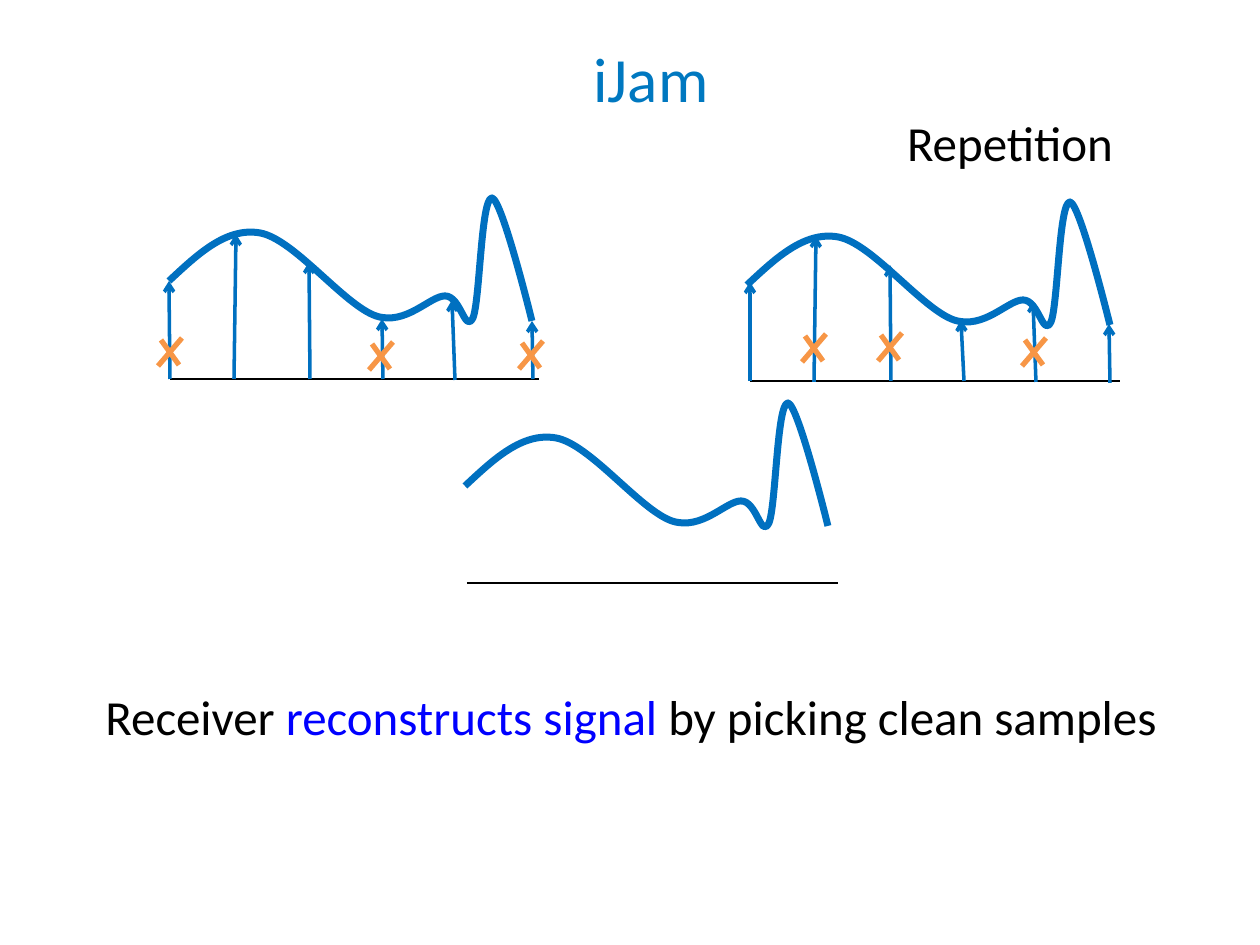
"""Build the iJam slide: two jammed copies of a signal and its reconstruction."""
from dataclasses import dataclass

import lxml.etree
import pptx
import pptx.dml.color
import pptx.enum.shapes
import pptx.enum.text
import pptx.oxml.ns
import pptx.util

EMU_PER_PX = 914400 / 126
FONT = "Calibri"
SIGNAL_BLUE = pptx.dml.color.RGBColor(0x00, 0x70, 0xC0)
TITLE_BLUE = pptx.dml.color.RGBColor(0x00, 0x78, 0xC0)
EMPHASIS_BLUE = pptx.dml.color.RGBColor(0x00, 0x00, 0xFF)
JAM_ORANGE = pptx.dml.color.RGBColor(0xF7, 0x96, 0x46)
BLACK = pptx.dml.color.RGBColor(0x00, 0x00, 0x00)

Point = tuple[int, int]
Stroke = tuple[int, int, int, int]

# fmt: off
WAVE: list[Point] = [
    (28, -26), (57, -54), (91, -48),
    (125, -42), (175, 24), (207, 35),
    (237, 45), (261, 15), (276, 15),
    (292, 15), (296, 53), (304, 37),
    (311, 20), (312, -83), (323, -83),
    (333, -82), (363, 40), (363, 40),
]
# fmt: on
CROSS: list[Stroke] = [(-9, -12, 9, 13), (-12, 14, 12, -14)]


@dataclass
class Plot:
    """A wave with its time axis, sample arrows and jammed samples."""

    wave_start: Point
    axis: Stroke
    samples: list[Stroke]
    jammed: list[Point]


PLOTS = [
    Plot(
        (169, 281),
        (170, 379, 539, 379),
        [
            (169, 281, 170, 379),
            (236, 234, 234, 379),
            (309, 262, 310, 379),
            (382, 319, 383, 379),
            (452, 300, 455, 380),
            (532, 321, 533, 379),
        ],
        [(170, 352), (381, 356), (531, 355)],
    ),
    Plot(
        (747, 285),
        (750, 381, 1120, 381),
        [
            (750, 282, 750, 381),
            (816, 236, 814, 382),
            (890, 265, 891, 381),
            (961, 320, 964, 381),
            (1033, 301, 1036, 382),
            (1109, 324, 1110, 383),
        ],
        [(814, 348), (890, 347), (1034, 352)],
    ),
    Plot((465, 486), (467, 583, 838, 583), [], []),
]


def px(length: int) -> pptx.util.Emu:
    """Turn pixels into EMU."""
    return pptx.util.Emu(round(length * EMU_PER_PX))


def add_tag(parent, tag: str, **attributes: str):
    """Append a DrawingML element."""
    return lxml.etree.SubElement(parent, pptx.oxml.ns.qn(tag), **attributes)


def draw_line(shapes, stroke: Stroke, color, width: float, arrow: bool = False) -> None:
    """Draw a straight line, with an arrowhead at its start if asked."""
    line = shapes.add_connector(
        pptx.enum.shapes.MSO_CONNECTOR.STRAIGHT, *(px(value) for value in stroke)
    )
    line.line.color.rgb = color
    line.line.width = pptx.util.Pt(width)
    if arrow:
        add_tag(line.line._get_or_add_ln(), "a:headEnd", type="arrow")
    add_tag(line._element.spPr, "a:effectLst")


def draw_wave(shapes, start: Point) -> None:
    """Draw the wave as a chain of cubic curves."""
    left, top = start
    builder = shapes.build_freeform(left, top, scale=EMU_PER_PX)
    builder.add_line_segments([(left + x, top + y) for x, y in WAVE], close=False)
    wave = builder.convert_to_shape()
    wave.shadow.inherit = False
    wave.fill.background()
    wave.line.color.rgb = SIGNAL_BLUE
    wave.line.width = pptx.util.Pt(4)
    outline = next(wave._element.iter(pptx.oxml.ns.qn("a:path")))
    segments = outline.findall(pptx.oxml.ns.qn("a:lnTo"))
    for first in range(0, len(segments), 3):
        curve = add_tag(outline, "a:cubicBezTo")
        for segment in segments[first : first + 3]:
            curve.append(segment[0])
            outline.remove(segment)


def draw_plot(shapes, plot: Plot) -> None:
    """Draw one plot, marking its jammed samples with crosses."""
    draw_wave(shapes, plot.wave_start)
    draw_line(shapes, plot.axis, BLACK, 0.75)
    for sample in plot.samples:
        draw_line(shapes, sample, SIGNAL_BLUE, 2, arrow=True)
    for x, y in plot.jammed:
        for x1, y1, x2, y2 in CROSS:
            draw_line(shapes, (x + x1, y + y1, x + x2, y + y2), JAM_ORANGE, 3)


def place(box, left: int, top: int, width: int, height: int) -> None:
    """Move and size a box."""
    box.left, box.top, box.width, box.height = map(px, (left, top, width, height))


def write(box, spans: list[tuple], size: int, anchor):
    """Write centred coloured spans into a box and return the paragraph."""
    frame = box.text_frame
    frame.word_wrap = True
    frame.auto_size = pptx.enum.text.MSO_AUTO_SIZE.NONE
    frame.vertical_anchor = anchor
    para = frame.paragraphs[0]
    para.alignment = pptx.enum.text.PP_ALIGN.CENTER
    for text, color in spans:
        span = para.add_run()
        span.text = text
        span.font.name = FONT
        span.font.size = pptx.util.Pt(size)
        span.font.color.rgb = color
    return para


def write_caption(box, spans: list[tuple]) -> None:
    """Write a caption with a hanging indent and no bullet."""
    para = write(box, spans, 28, pptx.enum.text.MSO_ANCHOR.TOP)
    para.space_before = pptx.util.Pt(5.6)
    properties = para._p.get_or_add_pPr()
    properties.set("marL", str(px(48)))
    properties.set("indent", str(px(-48)))
    add_tag(properties, "a:buNone")


def main() -> None:
    """Build and save the deck."""
    deck = pptx.Presentation()
    deck.slide_width, deck.slide_height = px(1260), px(945)
    page = deck.slides.add_slide(deck.slide_layouts[1])
    title, body = page.shapes.title, page.placeholders[1]

    place(title, 84, -1, 1134, 157)
    write(title, [("iJam", TITLE_BLUE)], 36, pptx.enum.text.MSO_ANCHOR.MIDDLE)
    place(body, -35, 680, 1332, 102)
    write_caption(
        body,
        [
            ("Receiver ", BLACK),
            ("reconstructs signal ", EMPHASIS_BLUE),
            ("by picking clean samples", BLACK),
        ],
    )
    label = page.shapes.add_textbox(*map(px, (854, 106, 312, 102)))
    write_caption(label, [("Repetition", BLACK)])

    for plot in PLOTS:
        draw_plot(page.shapes, plot)
    deck.save("out.pptx")


if __name__ == "__main__":
    main()
